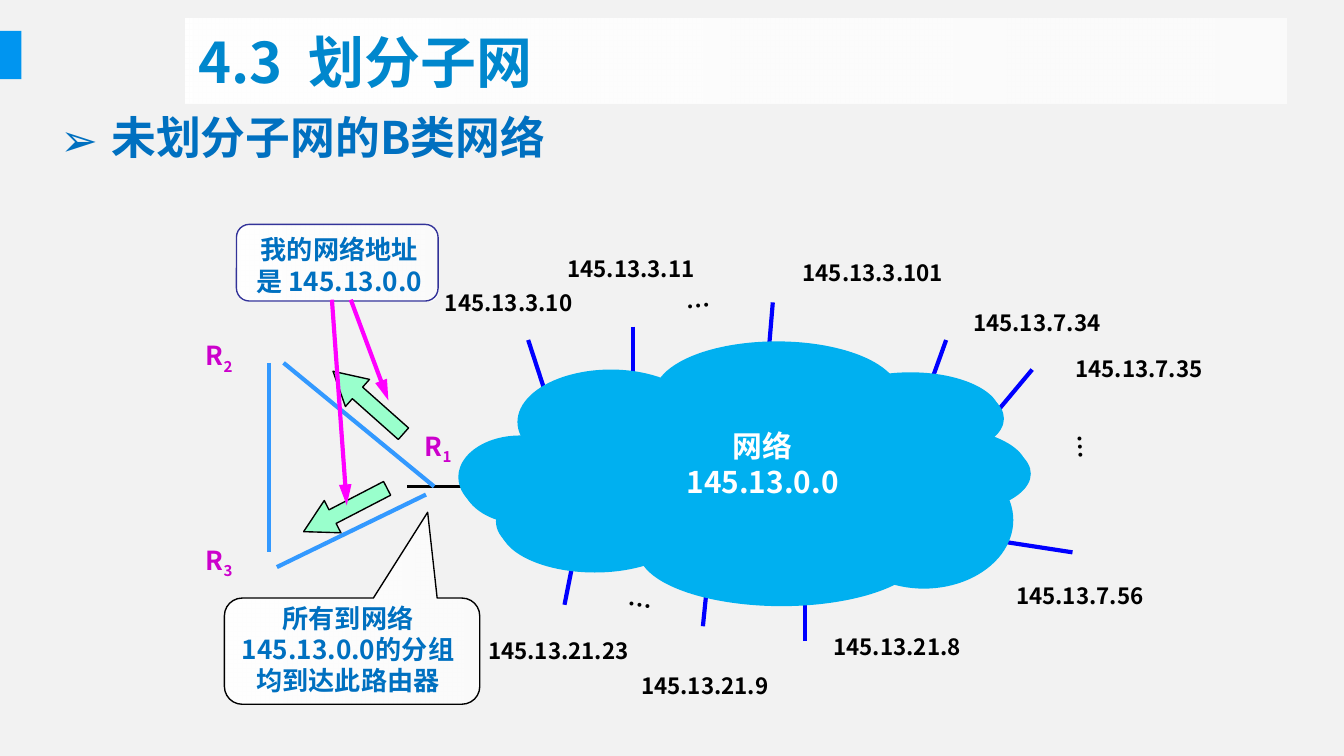
from lxml import etree
from pptx import Presentation
from pptx.dml.color import RGBColor
from pptx.enum import shapes as sh, text as tx
from pptx.oxml import ns
from pptx.util import Inches, Pt

FONT = "Noto Sans CJK SC"
BLACK = RGBColor(0, 0, 0)
WHITE = RGBColor(0xFF, 0xFF, 0xFF)
PAPER = RGBColor(0xF2, 0xF2, 0xF2)
TAB = RGBColor(0x00, 0x95, 0xF0)
TITLE = RGBColor(0x00, 0x87, 0xCD)
TEXT = RGBColor(0x00, 0x70, 0xC0)
NAVY = RGBColor(0x33, 0x33, 0x99)
HOST = RGBColor(0x00, 0x00, 0xFF)
LINK = RGBColor(0x33, 0x99, 0xFF)
POINT = RGBColor(0xFF, 0x00, 0xFF)
ROUTER = RGBColor(0xCC, 0x00, 0xCC)
MINT = RGBColor(0x99, 0xFF, 0xCC)
CLOUD = RGBColor(0x00, 0xB0, 0xF0)

# Lines: x1, y1, x2, y2
host_lines = [
    (3.93, 2.53, 4.11, 3.08), (7.68, 2.75, 7.22, 3.3), (5.75, 2.25, 5.69, 2.97),
    (5.99, 4.77, 5.99, 4.22), (4.71, 2.43, 4.71, 2.92), (7.04, 2.53, 6.86, 3.03),
    (5.23, 4.66, 5.28, 4.17), (4.2, 4.5, 4.32, 3.9), (7.98, 4.11, 7.33, 4.01),
]
router_links = [(2.11, 2.7, 3.23, 3.62), (2, 2.7, 2, 4.11), (2.06, 4.22, 3.17, 3.68)]
pointers = [(2.61, 2.23, 2.89, 2.98), (2.47, 2.23, 2.58, 3.76)]

# Labels: text, left, top
hosts = [
    ("145.13.3.10", 3.2, 2.1), ("145.13.3.11", 4.11, 1.85), ("145.13.3.101", 5.86, 1.88),
    ("145.13.7.34", 7.13, 2.25), ("145.13.7.35", 7.89, 2.59), ("145.13.7.56", 7.45, 4.28),
    ("145.13.21.23", 3.52, 4.69), ("145.13.21.9", 4.66, 4.95), ("145.13.21.8", 6.09, 4.66),
]
routers = [("1", 3.05, 3.15), ("3", 1.42, 4), ("2", 1.42, 2.48)]
dots = [(7.85, 3.17, 86.9), (4.57, 4.34, 9.1), (5.01, 2.12, 354)]
arrows = [(2.22, 3.66, 332.6), (2.39, 2.86, 41.6)]

# Cloud puffs: left, top, width, height
puffs = [
    (4.87, 2.54, 1.82, 0.78), (3.85, 2.75, 1.39, 0.78), (3.41, 3.24, 0.92, 0.62),
    (3.69, 3.54, 1.41, 0.68), (4.72, 3.65, 2.13, 0.82), (6.11, 2.77, 1.33, 0.61),
    (6.31, 3.18, 1.33, 0.61), (6.18, 3.32, 1.33, 1.02), (4.18, 3.01, 2.75, 1.02),
]

deck = Presentation()
deck.slide_width, deck.slide_height = Inches(10), Inches(10 * 9 / 16)
slide = deck.slides.add_slide(deck.slide_layouts[6])
slide.background.fill.solid()
slide.background.fill.fore_color.rgb = PAPER


def child(node, tag, **attrs):
    return etree.SubElement(node, ns.qn(tag), **attrs)


def line(ends, color, width=2.25, head=False):
    wire = slide.shapes.add_connector(sh.MSO_CONNECTOR.STRAIGHT, *map(Inches, ends))
    wire.line.color.rgb = color
    wire.line.width = Pt(width)
    if head:
        child(wire.line._get_or_add_ln(), "a:tailEnd", type="triangle", len="lg")
    child(wire._element.spPr, "a:effectLst")


def shape(kind, box, fill=None, edge=None, adjust=(), turn=0):
    """Add a preset shape; with no fill colour it gets the fading white one."""
    item = slide.shapes.add_shape(kind, *map(Inches, box))
    item.shadow.inherit = False
    for i, value in enumerate(adjust):
        item.adjustments[i] = value
    item.rotation = turn
    if fill is None:
        item.fill.gradient()
        item.fill.gradient_angle = 0
        for stop in item.fill.gradient_stops:
            stop.color.rgb = WHITE
        last = item._element.xpath(".//a:gsLst//a:srgbClr")[-1]
        child(last, "a:alpha", val="67000")
    else:
        item.fill.solid()
        item.fill.fore_color.rgb = fill
    if edge is None:
        item.line.fill.background()
    else:
        item.line.color.rgb = edge
        item.line.width = Pt(0.75)
    return item


def write(item, paras, size, color, align=tx.PP_ALIGN.CENTER, wrap=False, grow=True):
    """Fill a shape with paragraphs; a tuple is a word and its subscript."""
    frame = item.text_frame
    frame.word_wrap = wrap
    if grow:
        frame.auto_size = tx.MSO_AUTO_SIZE.SHAPE_TO_FIT_TEXT
    for i, para in enumerate(paras):
        p = frame.add_paragraph() if i else frame.paragraphs[0]
        p.alignment = align
        words = para if isinstance(para, tuple) else (para,)
        for j, word in enumerate(words):
            run = p.add_run()
            run.text = word
            run.font.size, run.font.bold = Pt(size), True
            run.font.color.rgb = color
            run.font.name = FONT
            props = run.font._element
            child(props, "a:ea", typeface=FONT)
            if j:
                props.set("baseline", "-25000")


def label(box, paras, size, color, turn=0, **opts):
    item = slide.shapes.add_textbox(*map(Inches, box))
    item.rotation = turn
    write(item, paras, size, color, **opts)
    return item


KIND = sh.MSO_SHAPE
shape(KIND.RECTANGLE, (-0.01, 0.23, 0.17, 0.36), TAB)
shape(KIND.ROUNDED_RECTANGLE, (1.76, 1.67, 1.5, 0.57), edge=NAVY, adjust=[0.167])

line((3.03, 3.62, 3.73, 3.62), BLACK, 1.5)
for ends in host_lines:
    line(ends, HOST)
for x, y, turn in dots:
    label((x, y, 0.38, 0.32), ["…"], 13, BLACK, turn)
for name, x, y in hosts:
    label((x, y, 1.27 if len(name) > 11 else 1.17, 0.3), [name], 12, BLACK)
for ends in router_links:
    line(ends, LINK)

shape(KIND.ROUNDED_RECTANGULAR_CALLOUT, (1.67, 4.45, 1.9, 0.79), edge=BLACK,
      adjust=[0.296, -1.308, 0.167])
label((1.64, 4.43, 1.9, 0.81), ["所有到网络 145.13.0.0的分组均到达此路由器"], 14, TEXT, wrap=True)

for x, y, turn in arrows:
    shape(KIND.LEFT_ARROW, (x, y, 0.7, 0.27), MINT, BLACK, [0.425, 0.9], turn)
for ends in pointers:
    line(ends, POINT, head=True)
for number, x, y in routers:
    label((x, y, 0.42, 0.34), [("R", number)], 14, ROUTER)

for dx, dy in [(0.03, 0.04), (0, 0)]:
    for x, y, w, h in puffs:
        shape(KIND.OVAL, (x + dx, y + dy, w, h), CLOUD)
core = shape(KIND.RECTANGLE, (4.99, 3.13, 1.37, 0.64), CLOUD)
write(core, ["网络", "145.13.0.0"], 16, WHITE)
label((1.77, 1.69, 1.51, 0.57), ["我的网络地址", "是 145.13.0.0"], 14, TEXT, wrap=True)

banner = shape(KIND.RECTANGLE, (1.38, 0.14, 8.19, 0.63))
banner.text_frame.vertical_anchor = tx.MSO_ANCHOR.MIDDLE
write(banner, ["4.3  划分子网"], 30, TITLE, tx.PP_ALIGN.LEFT, wrap=True, grow=False)

topic = label((0.35, 0.77, 9.21, 0.5), ["未划分子网的B类网络"], 24, TEXT,
              align=tx.PP_ALIGN.LEFT, wrap=True)
props = topic.text_frame.paragraphs[0]._p.get_or_add_pPr()
props.set("marL", str(Inches(0.38)))
props.set("indent", str(-Inches(0.38)))
child(props, "a:buFont", typeface=FONT)
child(props, "a:buChar", char="➢")

deck.save("out.pptx")
